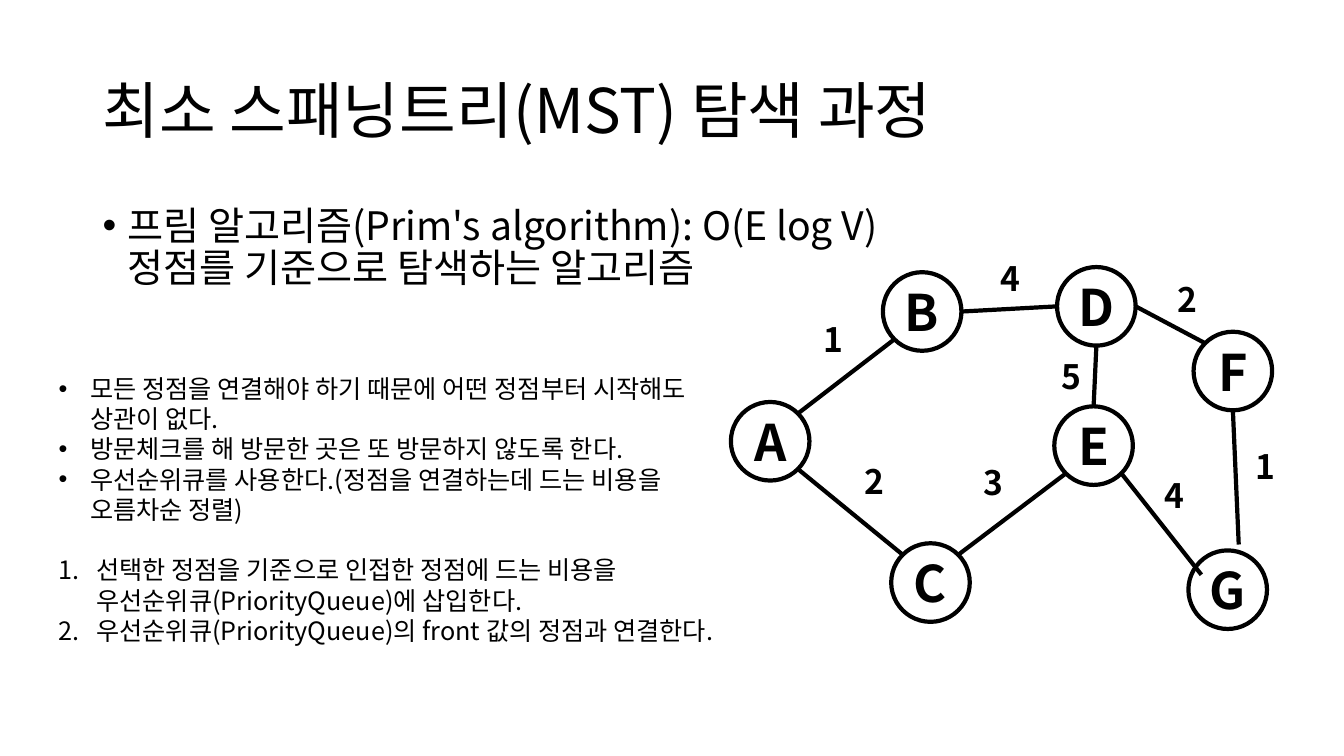
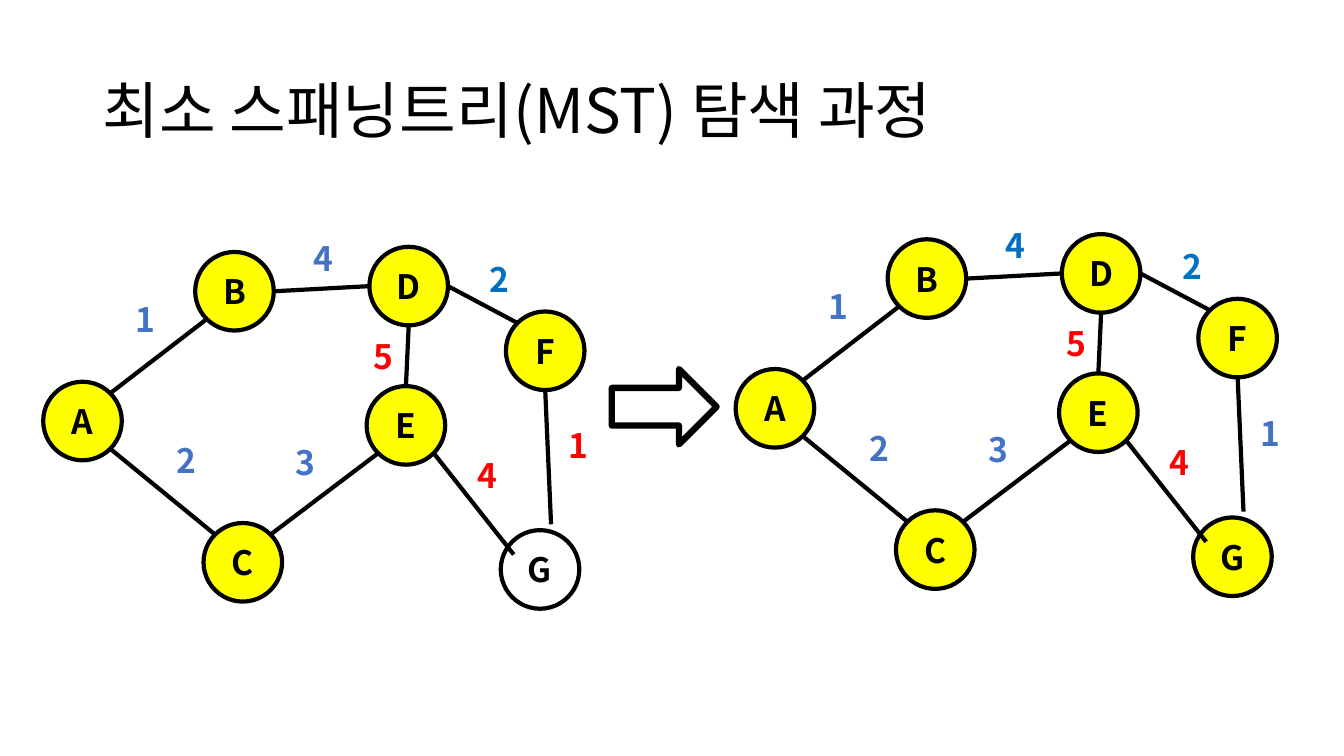
from copy import deepcopy

from lxml.etree import SubElement
from pptx import Presentation
from pptx.dml.color import RGBColor
from pptx.enum.shapes import MSO_CONNECTOR, MSO_SHAPE
from pptx.enum.text import MSO_ANCHOR, MSO_AUTO_SIZE, PP_ALIGN
from pptx.oxml.ns import qn
from pptx.util import Cm, Pt

FONT = "Noto Sans CJK KR"
BLACK, WHITE, YELLOW = "000000", "FFFFFF", "FFFF00"
BLUE, DEEP_BLUE, RED = "4472C4", "0070C0", "FF0000"
TITLE = "최소 스패닝트리(MST) 탐색 과정"
TITLE_BOX = (2.33, 1.01, 29.21, 3.68)
TITLE_LAYOUT, CONTENT_LAYOUT = 5, 1

RADIUS = 0.99
NODES = {
    "F": (11.66, 1.63), "C": (4.04, 6.96), "D": (8.22, 0), "A": (0, 3.4),
    "B": (3.83, 0.13), "G": (11.53, 7.14), "E": (8.15, 3.51),
}
DIAGONAL = 0.71
EDGES = [
    ("B", (-DIAGONAL, DIAGONAL), "A", (DIAGONAL, -DIAGONAL), "1", (2.08, 1.19)),
    ("C", (-DIAGONAL, -DIAGONAL), "A", (DIAGONAL, DIAGONAL), "2", (3.12, 4.75)),
    ("E", (-DIAGONAL, DIAGONAL), "C", (DIAGONAL, -DIAGONAL), "3", (6.12, 4.78)),
    ("D", (-1, 0), "B", (1, 0), "4", (6.55, -0.36)),
    ("D", (0, 1), "E", (0, -1), "5", (8.08, 2.11)),
    ("E", (DIAGONAL, DIAGONAL), "G", (-0.67, -0.38), "4", (10.69, 5.11)),
    ("F", (-DIAGONAL, -DIAGONAL), "D", (1, 0), "2", (11, 0.18)),
    ("F", (0, 1), "G", (0.28, -1.15), "1", (12.98, 4.37)),
]
NOTES = [
    "모든 정점을 연결해야 하기 때문에 어떤 정점부터 시작해도 상관이 없다.",
    "방문체크를 해 방문한 곳은 또 방문하지 않도록 한다.",
    "우선순위큐를 사용한다.(정점을 연결하는데 드는 비용을 오름차순 정렬)",
]
STEPS = [
    "선택한 정점을 기준으로 인접한 정점에 드는 비용을\v우선순위큐(PriorityQueue)에 삽입한다.",
    "우선순위큐(PriorityQueue)의 front 값의 정점과 연결한다.",
]


def apply(target, values):
    """Set every attribute in the dict on the target."""
    for name, value in values.items():
        setattr(target, name, value)


def paint(fill, color):
    """Fill with a hex colour, or with nothing when it is None."""
    if color is None:
        fill.background()
    else:
        fill.solid()
        fill.fore_color.rgb = RGBColor.from_string(color)


def box(left, top, width, height):
    """Turn a box in centimetres into position attributes."""
    return {"left": Cm(left), "top": Cm(top), "width": Cm(width), "height": Cm(height)}


def write(paragraph, text, size, color=BLACK, bold=False, **layout):
    """Write formatted text into a paragraph."""
    paragraph.text = text
    apply(paragraph, layout)
    for run in paragraph.runs:
        apply(run.font, {"name": FONT, "size": Pt(size), "bold": bold})
        paint(run.font.fill, color)
        SubElement(run._r.rPr, qn("a:ea"), typeface=FONT)
    for line_break in paragraph._p.findall(qn("a:br")):
        line_break.append(deepcopy(paragraph.runs[0]._r.rPr))


def add_bullet(paragraph, indent, numbered=False):
    """Give a paragraph a hanging bullet or number."""
    properties = paragraph._p.get_or_add_pPr()
    properties.set("marL", str(Cm(indent)))
    properties.set("indent", str(-Cm(indent)))
    SubElement(properties, qn("a:buFont"), typeface=FONT if numbered else "Arial")
    if numbered:
        SubElement(properties, qn("a:buAutoNum"), type="arabicPeriod")
    else:
        SubElement(properties, qn("a:buChar"), char="•")


def add_outlined(shapes, kind, place, fill, line_width):
    """Add a black-outlined preset shape."""
    shape = shapes.add_shape(kind, *box(*place).values())
    shape.shadow.inherit = False
    paint(shape.fill, fill)
    paint(shape.line.fill, BLACK)
    shape.line.width = Pt(line_width)
    return shape


def add_node(shapes, letter, left, top, fill, size):
    """Add one lettered vertex."""
    place = (left, top, 2 * RADIUS, 2 * RADIUS)
    node = add_outlined(shapes, MSO_SHAPE.OVAL, place, fill, 3)
    apply(node.text_frame, {"word_wrap": False, "vertical_anchor": MSO_ANCHOR.MIDDLE})
    write(node.text_frame.paragraphs[0], letter, size, bold=True, alignment=PP_ALIGN.CENTER)


def add_edge(shapes, start, end):
    """Add one straight edge between two points."""
    edge = shapes.add_connector(MSO_CONNECTOR.STRAIGHT, *map(Cm, start + end))
    paint(edge.line.fill, BLACK)
    edge.line.width = Pt(3)
    SubElement(edge._element.spPr, qn("a:effectLst"))


def add_weight(shapes, text, left, top, color):
    """Add the cost label of one edge."""
    frame = shapes.add_textbox(*box(left, top, 1.01, 1.28).values()).text_frame
    apply(frame, {"word_wrap": False, "auto_size": MSO_AUTO_SIZE.SHAPE_TO_FIT_TEXT})
    write(frame.paragraphs[0], text, 24, color, bold=True)


def add_graph(slide, left, top, letter_size, visited, weight_colors):
    """Draw the weighted graph from its top-left corner."""
    shapes = slide.shapes.add_group_shape().shapes

    def rim(letter, direction):
        """Locate a point in radii from the centre of a vertex."""
        x, y = NODES[letter]
        return (left + x + RADIUS * (1 + direction[0]), top + y + RADIUS * (1 + direction[1]))

    for letter, (x, y) in NODES.items():
        fill = YELLOW if letter in visited else None
        add_node(shapes, letter, left + x, top + y, fill, letter_size)
    for start, start_side, end, end_side, _, _ in EDGES:
        add_edge(shapes, rim(start, start_side), rim(end, end_side))
    for (*_, weight, (x, y)), color in zip(EDGES, weight_colors):
        add_weight(shapes, weight, left + x, top + y, color)


def add_titled_slide(presentation, layout):
    """Add a slide with the shared title."""
    slide = presentation.slides.add_slide(presentation.slide_layouts[layout])
    title = slide.shapes.title
    apply(title, box(*TITLE_BOX))
    apply(title.text_frame, {"vertical_anchor": MSO_ANCHOR.MIDDLE, "auto_size": MSO_AUTO_SIZE.NONE})
    write(title.text_frame.paragraphs[0], TITLE, 44, alignment=PP_ALIGN.LEFT, line_spacing=0.9)
    return slide


def add_summary(slide, place):
    """Fill the body placeholder with the algorithm summary."""
    body = slide.placeholders[1]
    apply(body, box(*place))
    body.text_frame.auto_size = MSO_AUTO_SIZE.NONE
    paragraph = body.text_frame.paragraphs[0]
    text = "프림 알고리즘(Prim's algorithm): O(E log V)\v정점를 기준으로 탐색하는 알고리즘"
    write(paragraph, text, 28, line_spacing=0.9, space_before=Pt(0))
    add_bullet(paragraph, 0.64)


def add_explanation(slide, place):
    """Add the bulleted notes and the numbered steps."""
    frame = slide.shapes.add_textbox(*box(*place).values()).text_frame
    apply(frame, {"word_wrap": True, "auto_size": MSO_AUTO_SIZE.SHAPE_TO_FIT_TEXT})
    for index, text in enumerate(NOTES + STEPS):
        paragraph = frame.add_paragraph() if index else frame.paragraphs[0]
        numbered = index >= len(NOTES)
        gap = 21.6 if index == len(NOTES) else 0
        write(paragraph, text, 18, space_before=Pt(gap))
        add_bullet(paragraph, 0.95 if numbered else 0.79, numbered)


def build_algorithm_slide(presentation):
    """Build the slide that explains the algorithm."""
    slide = add_titled_slide(presentation, CONTENT_LAYOUT)
    add_summary(slide, (2.33, 5.07, 29.21, 12.09))
    add_graph(slide, 18.42, 6.73, 36, "", [BLACK] * len(EDGES))
    add_explanation(slide, (1.23, 9.28, 17.65, 7.19))


def build_search_slide(presentation):
    """Build the slide that shows the last search step."""
    slide = add_titled_slide(presentation, TITLE_LAYOUT)
    before = [BLUE, BLUE, BLUE, BLUE, RED, RED, DEEP_BLUE, RED]
    after = [BLUE, BLUE, BLUE, DEEP_BLUE, RED, RED, DEEP_BLUE, BLUE]
    add_graph(slide, 1.09, 6.22, 24, "ABCDEF", before)
    add_graph(slide, 18.54, 5.9, 24, "ABCDEFG", after)
    add_outlined(slide.shapes, MSO_SHAPE.RIGHT_ARROW, (15.42, 9.3, 2.64, 1.9), WHITE, 4.5)


def main():
    """Build and save the presentation."""
    presentation = Presentation()
    apply(presentation, {"slide_width": Cm(33.87), "slide_height": Cm(19.05)})
    build_algorithm_slide(presentation)
    build_search_slide(presentation)
    presentation.save("out.pptx")


if __name__ == "__main__":
    main()
